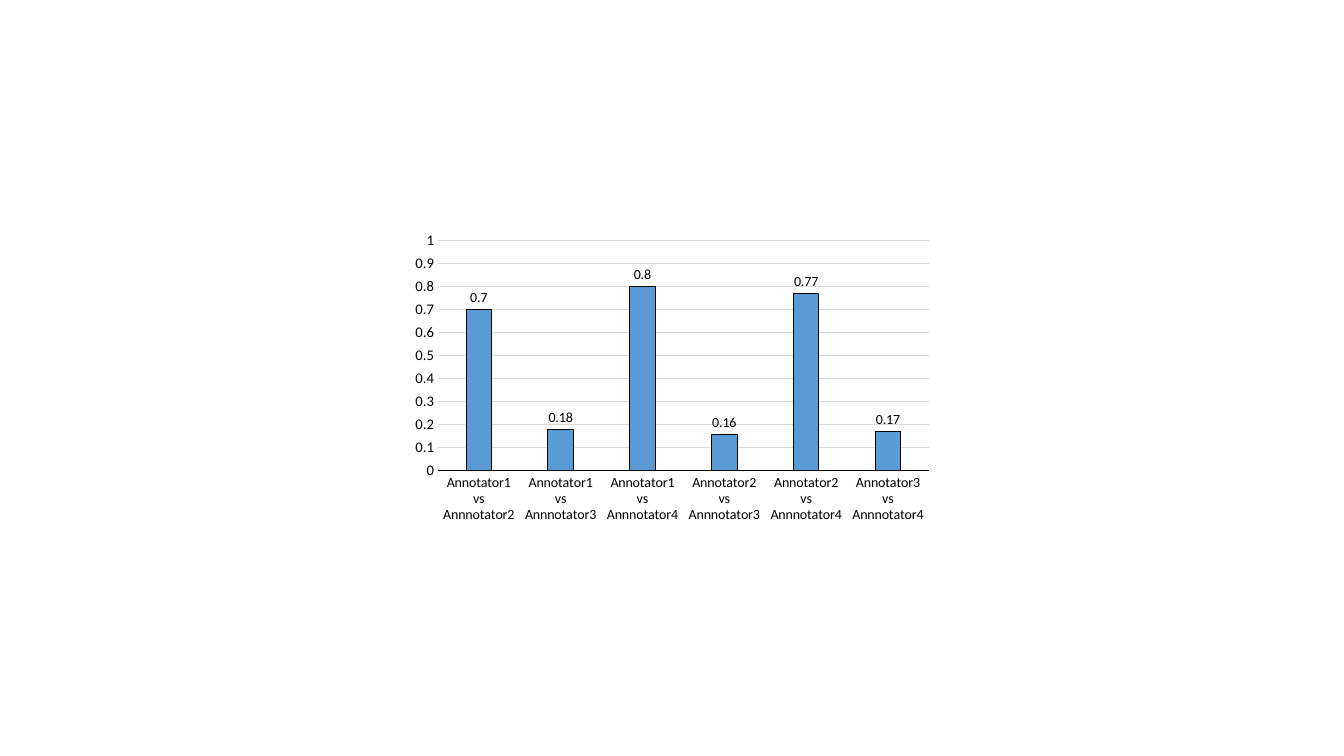
from dataclasses import dataclass
from typing import Any

from lxml import etree
from pptx import Presentation
from pptx.chart.data import CategoryChartData
from pptx.dml.color import RGBColor
from pptx.enum.chart import XL_CHART_TYPE, XL_LABEL_POSITION, XL_TICK_MARK
from pptx.oxml.ns import qn
from pptx.util import Emu, Pt

CLUSTERED_COLUMNS = XL_CHART_TYPE.COLUMN_CLUSTERED
ABOVE_COLUMN = XL_LABEL_POSITION.OUTSIDE_END
NO_TICKS = XL_TICK_MARK.NONE
BLANK_LAYOUT = 6
EMU_PER_INCH = 914400
PIXELS_PER_INCH = 100.8


@dataclass(frozen=True)
class Theme:
    ink: RGBColor = RGBColor(0x00, 0x00, 0x00)
    column: RGBColor = RGBColor(0x5B, 0x9B, 0xD5)
    grid: RGBColor = RGBColor(0xD9, 0xD9, 0xD9)
    chart_font: str = "Arial"
    label_font: str = "Calibri"
    label_size: float = 10
    value_axis_size: float = 10.5
    line_width: float = 0.75


@dataclass(frozen=True)
class Box:
    left: int
    top: int
    width: int
    height: int


@dataclass(frozen=True)
class Agreement:
    first: int
    second: int
    score: float

    @property
    def label(self) -> str:
        return f"Annotator{self.first} vs Annnotator{self.second}"


THEME = Theme()
CHART_BOX = Box(404, 227, 535, 302)
PLOT_BOX = Box(438, 241, 491, 230)
AGREEMENTS = (
    Agreement(1, 2, 0.7),
    Agreement(1, 3, 0.18),
    Agreement(1, 4, 0.8),
    Agreement(2, 3, 0.16),
    Agreement(2, 4, 0.77),
    Agreement(3, 4, 0.17),
)


def pixels(length: int) -> Emu:
    return Emu(round(length * EMU_PER_INCH / PIXELS_PER_INCH))


def style_font(font: Any, name: str, size: float) -> None:
    font.name = name
    font.size = Pt(size)
    font.bold = False
    font.color.rgb = THEME.ink


def style_line(line: Any, color: RGBColor) -> None:
    line.color.rgb = color
    line.width = Pt(THEME.line_width)


def style_axis(axis: Any, size: float) -> None:
    axis.major_tick_mark = axis.minor_tick_mark = NO_TICKS
    style_font(axis.tick_labels.font, THEME.label_font, size)


def place_plot(chart: Any, outer: Box, inner: Box) -> None:
    """Fix the inner plot area as fractions of the chart frame."""
    plot_area = chart.plots[0]._element.getparent()
    for old_layout in plot_area.findall(qn("c:layout")):
        plot_area.remove(old_layout)
    layout = etree.Element(qn("c:layout"))
    manual = etree.SubElement(layout, qn("c:manualLayout"))
    settings = {
        "layoutTarget": "inner",
        "xMode": "edge",
        "yMode": "edge",
        "x": (inner.left - outer.left) / outer.width,
        "y": (inner.top - outer.top) / outer.height,
        "w": inner.width / outer.width,
        "h": inner.height / outer.height,
    }
    for name, value in settings.items():
        etree.SubElement(manual, qn(f"c:{name}"), val=str(value))
    plot_area.insert(0, layout)


def add_agreement_chart(slide: Any) -> None:
    data = CategoryChartData()
    data.categories = [agreement.label for agreement in AGREEMENTS]
    data.add_series("Series 1", [agreement.score for agreement in AGREEMENTS])
    frame = slide.shapes.add_chart(
        CLUSTERED_COLUMNS,
        pixels(CHART_BOX.left),
        pixels(CHART_BOX.top),
        pixels(CHART_BOX.width),
        pixels(CHART_BOX.height),
        data,
    )
    chart = frame.chart
    chart.has_title = False
    chart.has_legend = False
    style_font(chart.font, THEME.chart_font, THEME.label_size)
    place_plot(chart, CHART_BOX, PLOT_BOX)

    # Axes and gridlines
    style_axis(chart.category_axis, THEME.label_size)
    style_line(chart.category_axis.format.line, THEME.ink)
    value_axis = chart.value_axis
    style_axis(value_axis, THEME.value_axis_size)
    value_axis.format.line.fill.background()
    value_axis.minimum_scale = 0
    value_axis.maximum_scale = 1
    value_axis.major_unit = 0.1
    style_line(value_axis.major_gridlines.format.line, THEME.grid)

    # Columns
    plot = chart.plots[0]
    plot.gap_width = 219
    plot.overlap = -27
    plot.vary_by_categories = False
    series = plot.series[0]
    series.format.fill.solid()
    series.format.fill.fore_color.rgb = THEME.column
    style_line(series.format.line, THEME.ink)

    # Value labels
    labels = series.data_labels
    labels.show_value = True
    labels.position = ABOVE_COLUMN
    style_font(labels.font, THEME.label_font, THEME.label_size)


def main() -> None:
    presentation = Presentation()
    presentation.slide_width = pixels(1344)
    presentation.slide_height = pixels(756)
    slide = presentation.slides.add_slide(presentation.slide_layouts[BLANK_LAYOUT])
    add_agreement_chart(slide)
    presentation.save("out.pptx")


main()
